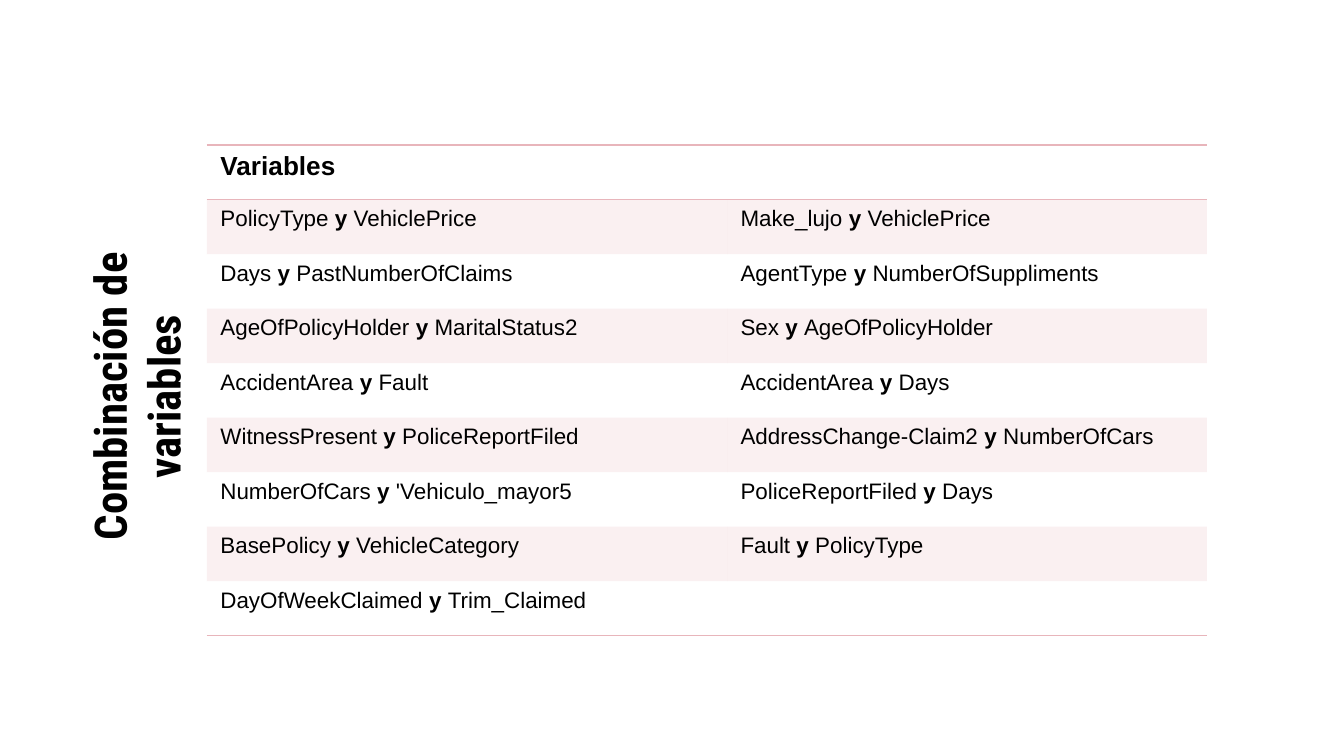
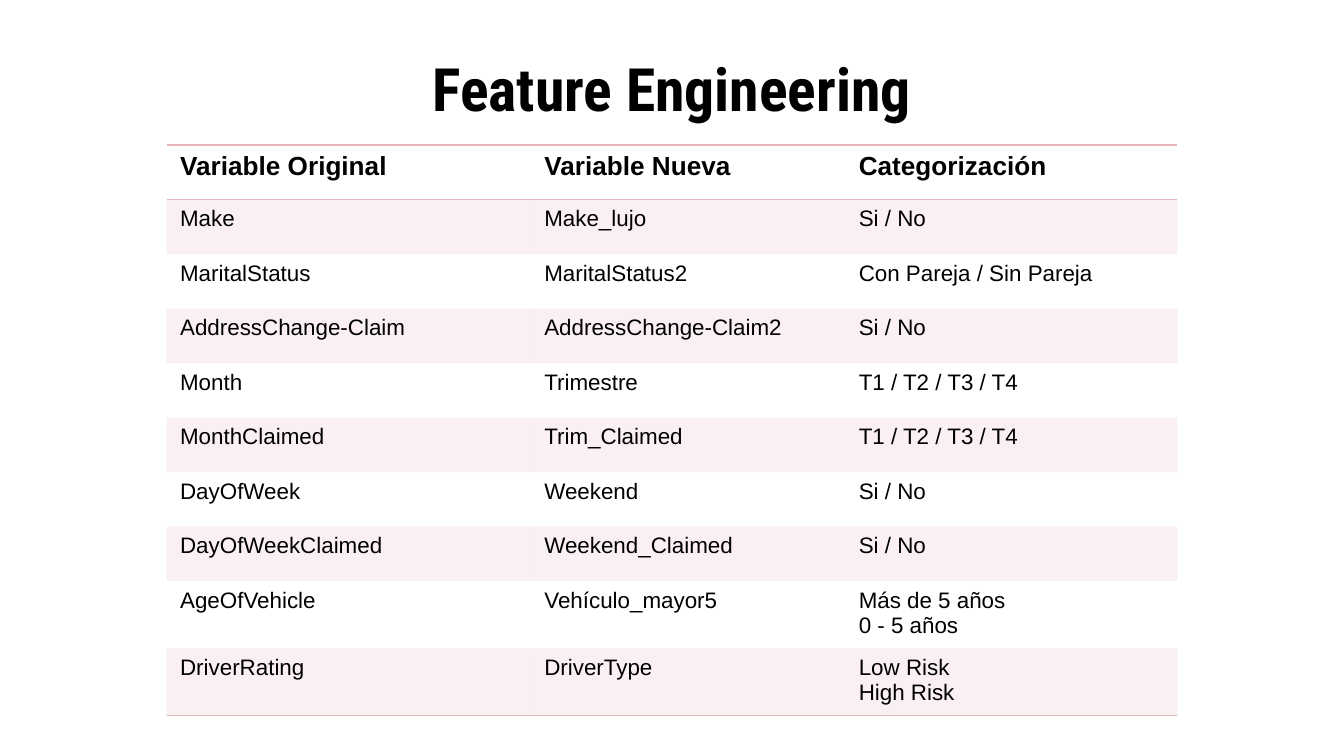
"""Two slides of variable tables from a feature engineering study."""
from lxml.etree import SubElement
from pptx import Presentation
from pptx.dml.color import RGBColor
from pptx.enum.text import MSO_ANCHOR, PP_ALIGN
from pptx.oxml.ns import qn
from pptx.util import Inches, Pt

BLACK = RGBColor(0x00, 0x00, 0x00)
PINK = RGBColor(0xE8, 0xB5, 0xBB)
TITLE_FONT = "Roboto Condensed"
BODY_FONT = "Arial"
PLAIN_TABLE_STYLE = "{2D5ABB26-0587-4C30-8999-92F81FD0307C}"
TABLE_TOP = 1.08
ROW_HEIGHT = 3.65 / 9

COMBINATIONS = [
    ("Variables", ""),
    ("PolicyType y VehiclePrice", "Make_lujo y VehiclePrice"),
    ("Days y PastNumberOfClaims", "AgentType y NumberOfSuppliments"),
    ("AgeOfPolicyHolder y MaritalStatus2", "Sex y AgeOfPolicyHolder"),
    ("AccidentArea y Fault", "AccidentArea y Days"),
    ("WitnessPresent y PoliceReportFiled", "AddressChange-Claim2 y NumberOfCars"),
    ("NumberOfCars y 'Vehiculo_mayor5", "PoliceReportFiled y Days"),
    ("BasePolicy y VehicleCategory", "Fault y PolicyType"),
    ("DayOfWeekClaimed y Trim_Claimed", ""),
]
NEW_VARIABLES = [
    ("Variable Original", "Variable Nueva", "Categorización"),
    ("Make", "Make_lujo", "Si / No"),
    ("MaritalStatus", "MaritalStatus2", "Con Pareja / Sin Pareja"),
    ("AddressChange-Claim", "AddressChange-Claim2", "Si / No"),
    ("Month", "Trimestre", "T1 / T2 / T3 / T4"),
    ("MonthClaimed", "Trim_Claimed", "T1 / T2 / T3 / T4"),
    ("DayOfWeek", "Weekend", "Si / No"),
    ("DayOfWeekClaimed", "Weekend_Claimed", "Si / No"),
    ("AgeOfVehicle", "Vehículo_mayor5", "Más de 5 años\n0 - 5 años"),
    ("DriverRating", "DriverType", "Low Risk\nHigh Risk"),
]
PAGES = [
    ("Combinación de variables", (0.5, 1.17, 1.02, 3.56), 24, "vert270",
     1.54, (3.87, 3.57), COMBINATIONS),
    ("Feature Engineering", (0.5, 0.45, 9, 0.41), 32, "horz",
     1.24, (2.71, 2.34, 2.47), NEW_VARIABLES),
]


def add_span(para, text, font_name, size, bold):
    span = para.add_run()
    span.text = text
    span.font.name = font_name
    span.font.size = Pt(size)
    span.font.bold = bold
    span.font.color.rgb = BLACK


def add_border(cell, tag):
    properties = cell._tc.get_or_add_tcPr()
    line = SubElement(properties, qn(tag), w=str(Pt(1)))
    fill = SubElement(line, qn("a:solidFill"))
    SubElement(fill, qn("a:srgbClr"), val=str(PINK))


deck = Presentation()
deck.slide_width = Inches(10)
deck.slide_height = Inches(10 * 9 / 16)

for title, place, title_size, direction, table_left, widths, rows in PAGES:
    page = deck.slides.add_slide(deck.slide_layouts[6])

    box = page.shapes.add_textbox(*[Inches(length) for length in place])
    frame = box.text_frame
    frame.word_wrap = True
    frame.vertical_anchor = MSO_ANCHOR.MIDDLE
    frame.margin_left = frame.margin_right = Inches(0.1)
    frame.margin_top = frame.margin_bottom = Inches(0.1)
    frame._txBody.bodyPr.set("vert", direction)
    para = frame.paragraphs[0]
    para.alignment = PP_ALIGN.CENTER
    add_span(para, title, TITLE_FONT, title_size, True)

    table = page.shapes.add_table(
        len(rows), len(widths), Inches(table_left), Inches(TABLE_TOP),
        Inches(sum(widths)), Inches(ROW_HEIGHT * len(rows))).table
    table._tbl.tblPr.find(qn("a:tableStyleId")).text = PLAIN_TABLE_STYLE
    for column, width in zip(table.columns, widths):
        column.width = Inches(width)

    for row_number, texts in enumerate(rows):
        table.rows[row_number].height = Inches(ROW_HEIGHT)
        header = row_number == 0
        size = 14 if header else 12
        for column_number, text in enumerate(texts):
            cell = table.cell(row_number, column_number)
            if header:
                add_border(cell, "a:lnT")
            if header or row_number == len(rows) - 1:
                add_border(cell, "a:lnB")
            if row_number % 2:
                cell.fill.solid()
                cell.fill.fore_color.rgb = PINK
                colour = cell._tc.tcPr.find(qn("a:solidFill"))[0]
                SubElement(colour, qn("a:alpha"), val="20000")
            else:
                cell.fill.background()
            for line_number, line_text in enumerate(text.splitlines()):
                if line_number:
                    para = cell.text_frame.add_paragraph()
                else:
                    para = cell.text_frame.paragraphs[0]
                first, joint, second = line_text.partition(" y ")
                add_span(para, first, BODY_FONT, size, header)
                if joint:
                    add_span(para, joint, BODY_FONT, size, True)
                    add_span(para, second, BODY_FONT, size, False)

deck.save("out.pptx")
